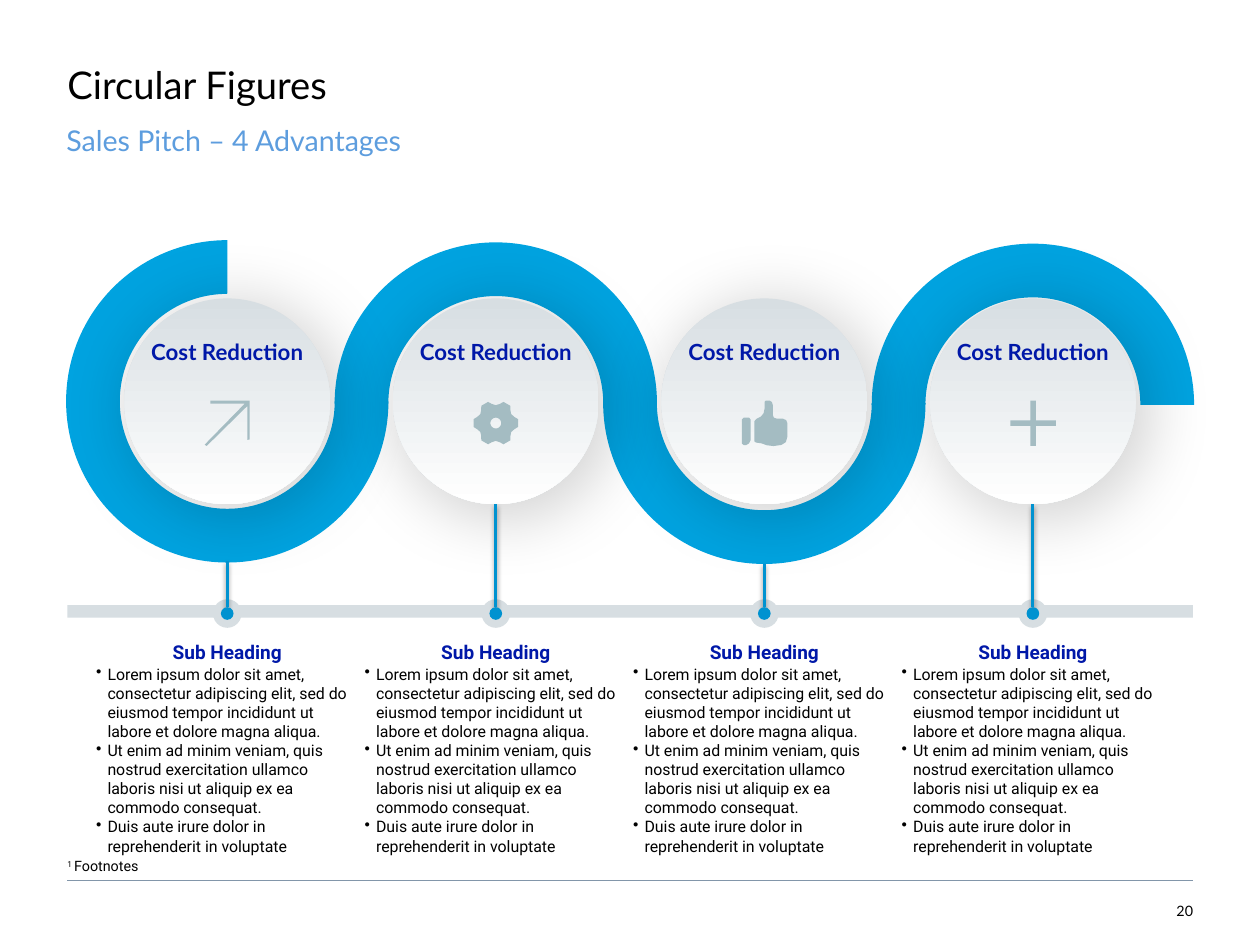
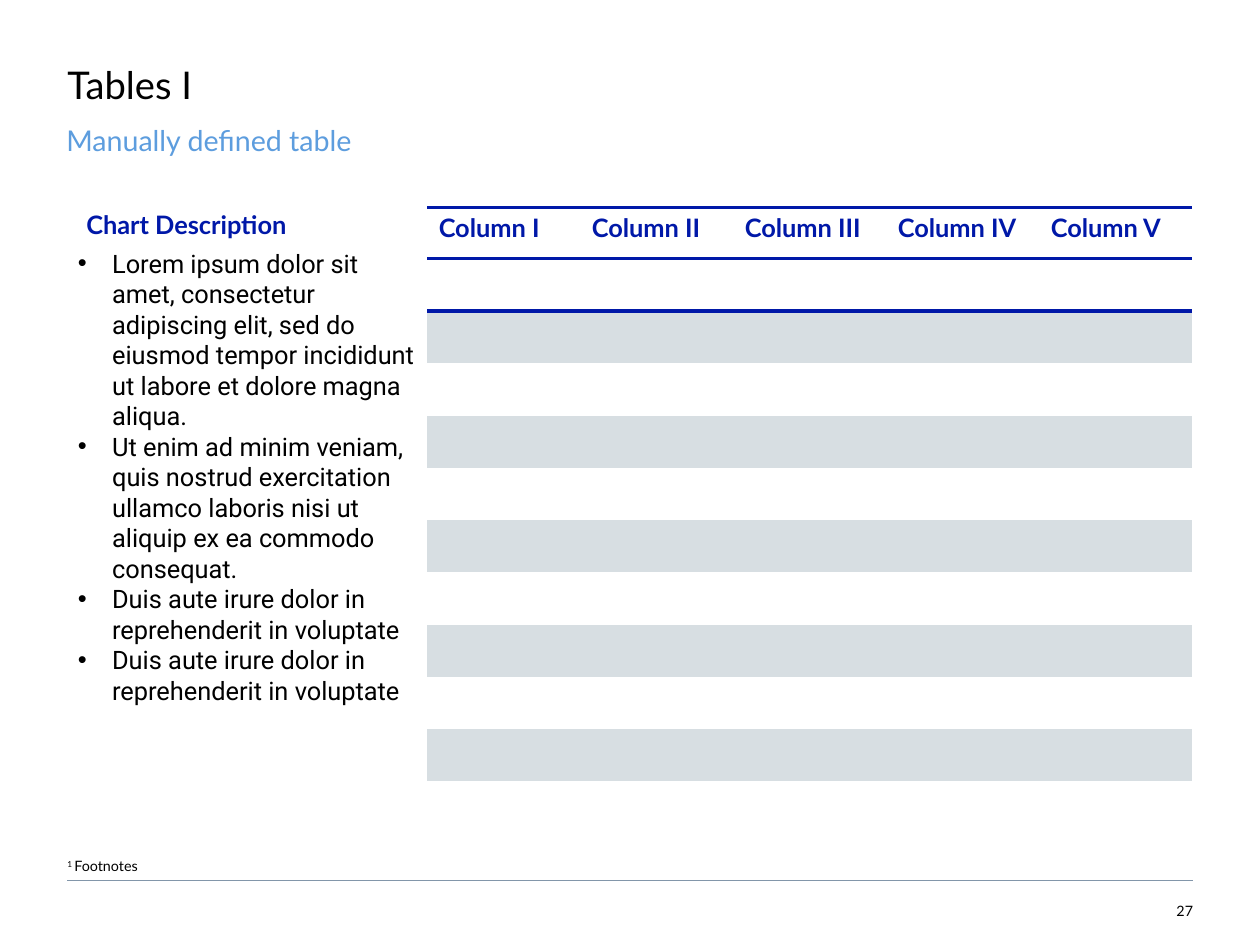
import math

from pptx import Presentation
from pptx import util as u
from pptx.dml.color import RGBColor
from pptx.enum import shapes, text
from pptx.oxml.ns import qn
from pptx.oxml.xmlchemy import OxmlElement

Pt = u.Pt
SHAPE = shapes.MSO_SHAPE
ALIGN = text.PP_ALIGN

BLACK = RGBColor(0x00, 0x00, 0x00)
WHITE = RGBColor(0xFF, 0xFF, 0xFF)
NAVY = RGBColor(0x00, 0x18, 0xA8)
SKY = RGBColor(0x5D, 0x9D, 0xDE)
RIBBON = RGBColor(0x00, 0xA3, 0xE0)
STEM = RGBColor(0x00, 0x92, 0xD0)
PALE = RGBColor(0xD7, 0xDE, 0xE2)
ICON = RGBColor(0xA4, 0xBC, 0xC2)
RULE = RGBColor(0x82, 0x96, 0xAA)

HEADING, BODY = "Lato", "Roboto"
LEFT, RIGHT = 42.5, 751.2
NO_STYLE_TABLE = "{2D5ABB26-0587-4C30-8999-92F81FD0307C}"

LOREM = ("Lorem ipsum dolor sit amet, consectetur adipiscing elit, sed do "
         "eiusmod tempor incididunt ut labore et dolore magna aliqua.")
UT_ENIM = ("Ut enim ad minim veniam, quis nostrud exercitation ullamco "
           "laboris nisi ut aliquip ex ea commodo consequat.")
DUIS = "Duis aute irure dolor in reprehenderit in voluptate"


def add_child(parent, tag, **attributes):
    child = OxmlElement(tag)
    for key, value in attributes.items():
        child.set(key, str(value))
    parent.append(child)
    return child


def set_font(paragraph, size, color=BLACK, name=HEADING, bold=False):
    font = paragraph.font
    font.size, font.name, font.bold = Pt(size), name, bold
    font.color.rgb = color


def place(part, box):
    part.left, part.top, part.width, part.height = map(Pt, box)


def set_insets(frame, left=0, top=0, right=0, bottom=0):
    frame.margin_left, frame.margin_top = Pt(left), Pt(top)
    frame.margin_right, frame.margin_bottom = Pt(right), Pt(bottom)


def add_text(slide, box, words, size, align=ALIGN.LEFT, **font):
    frame = slide.shapes.add_textbox(*map(Pt, box)).text_frame
    frame.word_wrap = True
    set_insets(frame)
    paragraph = frame.paragraphs[0]
    paragraph.text = words
    paragraph.alignment = align
    set_font(paragraph, size, **font)
    return frame


def write_bullets(frame, items, size, indent):
    for i, item in enumerate(items):
        paragraph = frame.add_paragraph() if i else frame.paragraphs[0]
        paragraph.text = item
        paragraph.alignment = ALIGN.LEFT
        paragraph.space_before = Pt(0)
        properties = paragraph._p.get_or_add_pPr()
        properties.set("marL", str(Pt(indent)))
        properties.set("indent", str(-Pt(indent)))
        add_child(properties, "a:buChar", char="•")
        set_font(paragraph, size, name=BODY)


def paint(shape, color):
    shape.shadow.inherit = False
    shape.fill.solid()
    shape.fill.fore_color.rgb = color
    shape.line.fill.background()


def add_shape(slide, preset, box, color):
    shape = slide.shapes.add_shape(preset, *map(Pt, box))
    paint(shape, color)
    return shape


def add_circle(slide, cx, top, diameter, color):
    box = (cx - diameter / 2, top, diameter, diameter)
    return add_shape(slide, SHAPE.OVAL, box, color)


def add_line(slide, start, end, color, width):
    """Draw a plain line and return its empty effect list."""
    line = slide.shapes.add_connector(
        shapes.MSO_CONNECTOR.STRAIGHT, *map(Pt, start + end))
    line.line.color.rgb = color
    line.line.width = Pt(width)
    return add_child(line.element.spPr, "a:effectLst")


def add_shadow(effects, alpha, blur, distance, angle, **scale):
    shadow = add_child(effects, "a:outerShdw", blurRad=Pt(blur),
                       dist=Pt(distance), dir=angle * 60000, **scale,
                       rotWithShape=0)
    black = add_child(shadow, "a:srgbClr", val=BLACK)
    add_child(black, "a:alpha", val=alpha * 1000)


def add_outline(slide, left, top, contours, color):
    """Fill closed contours given in points from (left, top)."""
    placed = [[(Pt(left + x), Pt(top + y)) for x, y in contour]
              for contour in contours]
    builder = slide.shapes.build_freeform(*placed[0][0], scale=1.0)
    for i, contour in enumerate(placed):
        if i:
            builder.move_to(*contour[0])
        builder.add_line_segments(contour[1:], close=True)
    paint(builder.convert_to_shape(), color)


def add_base(prs, layout, title, subtitle, number, note_font):
    slide = prs.slides.add_slide(prs.slide_layouts[layout])
    heading = slide.shapes.title
    place(heading, (LEFT, 21.6, 666, 77.8))
    frame = heading.text_frame
    frame.text = title
    frame.vertical_anchor = text.MSO_ANCHOR.TOP
    frame.auto_size = text.MSO_AUTO_SIZE.NONE
    set_insets(frame, top=20.2, right=21.6)
    frame.paragraphs[0].alignment = ALIGN.LEFT
    frame.paragraphs[0].line_spacing = 0.9
    set_font(frame.paragraphs[0], 24)

    tagline = add_text(slide, (41.8, 79.9, 679, 23.8), subtitle, 18,
                       color=SKY)
    tagline.paragraphs[0].line_spacing = 0.9

    add_line(slide, (RIGHT, 554.4), (LEFT, 554.4), RULE, 0.5)
    page = add_text(slide, (RIGHT - 42.5, 554.4, 42.5, 24.5), number, 9,
                    align=ALIGN.RIGHT)
    page.vertical_anchor = text.MSO_ANCHOR.BOTTOM
    note = add_text(slide, (LEFT, 540, RIGHT - LEFT, 19.4), "1 ", 9,
                    name=note_font).paragraphs[0]
    note.runs[0]._r.get_or_add_rPr().set("baseline", "30000")
    note.add_run().text = "Footnotes"
    return slide


def arrow_icon(slide, left, top):
    contour = [(3.6, 0), (28.4, 0), (28.4, 24.5), (26.9, 24.8), (26.9, 3.4),
               (1.3, 28.6), (0, 27.8), (25.2, 2), (3.6, 2)]
    add_outline(slide, left, top, [contour], ICON)


def gear_icon(slide, left, top):
    center, radius = 14.2, 14.2

    def polar(degrees, ratio):
        angle = math.radians(degrees)
        return (center + radius * ratio * math.cos(angle),
                center + radius * ratio * math.sin(angle))

    tooth = [(-18, 0.87), (-10, 1), (10, 1), (18, 0.87), (30, 0.79)]
    teeth = [polar(turn + degrees, ratio)
             for turn in range(0, 360, 60) for degrees, ratio in tooth]
    hole = [polar(degrees, 0.24) for degrees in range(360, 0, -15)]
    add_outline(slide, left, top, [teeth, hole], ICON)


def thumb_icon(slide, left, top):
    cuff = [(1.2, 10.8), (4.6, 10.8), (5.6, 12), (5.6, 25), (4.6, 27),
            (2.8, 28.1), (1.2, 28.1), (0, 27), (0, 12)]
    hand = [(9.3, 11.5), (12, 10.2), (13.8, 8), (14.4, 5), (14.4, 0.8),
            (15.2, 0), (17.5, 0), (19, 1), (19.6, 3), (19.6, 9.2),
            (20.2, 10.8), (22.2, 11.5), (26, 11.5), (28, 12.4), (28.8, 14.5),
            (28.8, 22.5), (27.8, 26.2), (25, 28), (20, 28.7), (15.8, 28.2),
            (12.5, 27), (9, 26.5), (8, 25.8), (8, 13)]
    add_outline(slide, left, top, [cuff, hand], ICON)


def plus_icon(slide, left, top):
    plus = add_shape(slide, SHAPE.CROSS, (left, top, 28.6, 28.6), ICON)
    plus.adjustments[0] = 0.44


def add_ring(slide, cx, top, start, end):
    """Draw a band running clockwise between two angles in degrees."""
    size = 203
    ring = add_shape(slide, SHAPE.BLOCK_ARC, (cx - size / 2, top, size, size),
                     RIBBON)
    for i, value in enumerate((start * 0.6, end * 0.6, 1 / 6)):
        ring.adjustments[i] = value


def add_disc(slide, cx, top, label):
    disc = add_circle(slide, cx, top, 129.6, PALE)
    disc.fill.gradient()
    disc.fill.gradient_angle = 270
    for stop, color, position in zip(disc.fill.gradient_stops,
                                     (PALE, WHITE), (0, 1)):
        stop.color.rgb, stop.position = color, position
    effects = disc.element.spPr.find(qn("a:effectLst"))
    add_shadow(effects, 17, 40, 0, 45, sx=108000, sy=108000, algn="tl")
    add_text(slide, (cx - 58.7, top + 25.2, 117.4, 38.9), label, 14,
             align=ALIGN.CENTER, color=NAVY, bold=True)


def add_advantage_text(slide, cx, top):
    add_text(slide, (cx - 48.6, top, 97.2, 13.7), "Sub Heading", 12,
             align=ALIGN.CENTER, color=NAVY, name=BODY, bold=True)
    points = add_text(slide, (cx - 82.6, top + 15.1, 165, 124.6), "", 10)
    write_bullets(points, (LOREM, UT_ENIM, DUIS), 10, 7.2)


def build_advantages(prs):
    slide = add_base(prs, 5, "Circular Figures", "Sales Pitch – 4 Advantages",
                     "20", BODY)
    disc_top, rail_top = 187.9, 381
    centers = [143.1 + 169.1 * i for i in range(4)]
    rings = [(151.2, 0, 270), (152.6, 180, 0), (152.1, 0, 180),
             (153.4, 180, 0)]
    stem_tops = (353.5, 317.5, 355, 317.5)
    icons = (arrow_icon, gear_icon, thumb_icon, plus_icon)

    for cx in centers:
        add_circle(slide, cx, rail_top - 3.7, 18, PALE)
    for cx, ring in zip(centers, rings):
        add_ring(slide, cx, *ring)
    for cx in centers:
        add_disc(slide, cx, disc_top, "Cost Reduction")
    add_shape(slide, SHAPE.RECTANGLE, (LEFT, rail_top, RIGHT - LEFT, 7.9),
              PALE)
    for cx, stem_top, icon in zip(centers, stem_tops, icons):
        effects = add_line(slide, (cx, stem_top), (cx, rail_top + 1.3),
                           STEM, 2)
        add_shadow(effects, 38, 3.1, 1.6, 90)
        add_circle(slide, cx, rail_top + 1.3, 8, STEM)
        icon(slide, cx - 14.2, disc_top + 64.3)
        add_advantage_text(slide, cx, 403.2)


def add_border(cell, tag):
    edge = add_child(cell._tc.get_or_add_tcPr(), tag, w=Pt(2.25))
    add_child(add_child(edge, "a:solidFill"), "a:srgbClr", val=NAVY)


def add_striped_table(slide, box, headers, row_count):
    frame = slide.shapes.add_table(row_count, len(headers), *map(Pt, box))
    next(frame.element.iter(qn("a:tableStyleId"))).text = NO_STYLE_TABLE
    table = frame.table
    table.first_row = table.horz_banding = False
    for column in table.columns:
        column.width = Pt(box[2] / len(headers))
    for r, row in enumerate(table.rows):
        row.height = Pt(32.93 if r else 32.4)
        for c, cell in enumerate(row.cells):
            if r < 2:
                add_border(cell, "a:lnT")
            if r == 0:
                add_border(cell, "a:lnB")
                cell.text = headers[c]
                set_font(cell.text_frame.paragraphs[0], 16, NAVY, bold=True)
            if r and r % 2 == 0:
                cell.fill.solid()
                cell.fill.fore_color.rgb = PALE
            else:
                cell.fill.background()


def build_table(prs):
    slide = add_base(prs, 1, "Tables I", "Manually defined table", "27",
                     HEADING)
    add_striped_table(slide, (269.1, 130.5, 481.8, 394.6),
                      [f"Column {n}" for n in ("I", "II", "III", "IV", "V")],
                      12)
    description = slide.placeholders[1]
    place(description, (41.8, 152.6, 226.8, 373))
    description.text_frame.auto_size = text.MSO_AUTO_SIZE.NONE
    write_bullets(description.text_frame, (LOREM, UT_ENIM, DUIS, DUIS), 16,
                  21.6)
    add_text(slide, (41.8, 131.8, 151.2, 13.7), "Chart Description", 16,
             align=ALIGN.CENTER, color=NAVY, bold=True)


def main():
    prs = Presentation()
    prs.slide_width, prs.slide_height = Pt(793.4), Pt(596.9)
    build_advantages(prs)
    build_table(prs)
    prs.save("out.pptx")


if __name__ == "__main__":
    main()
